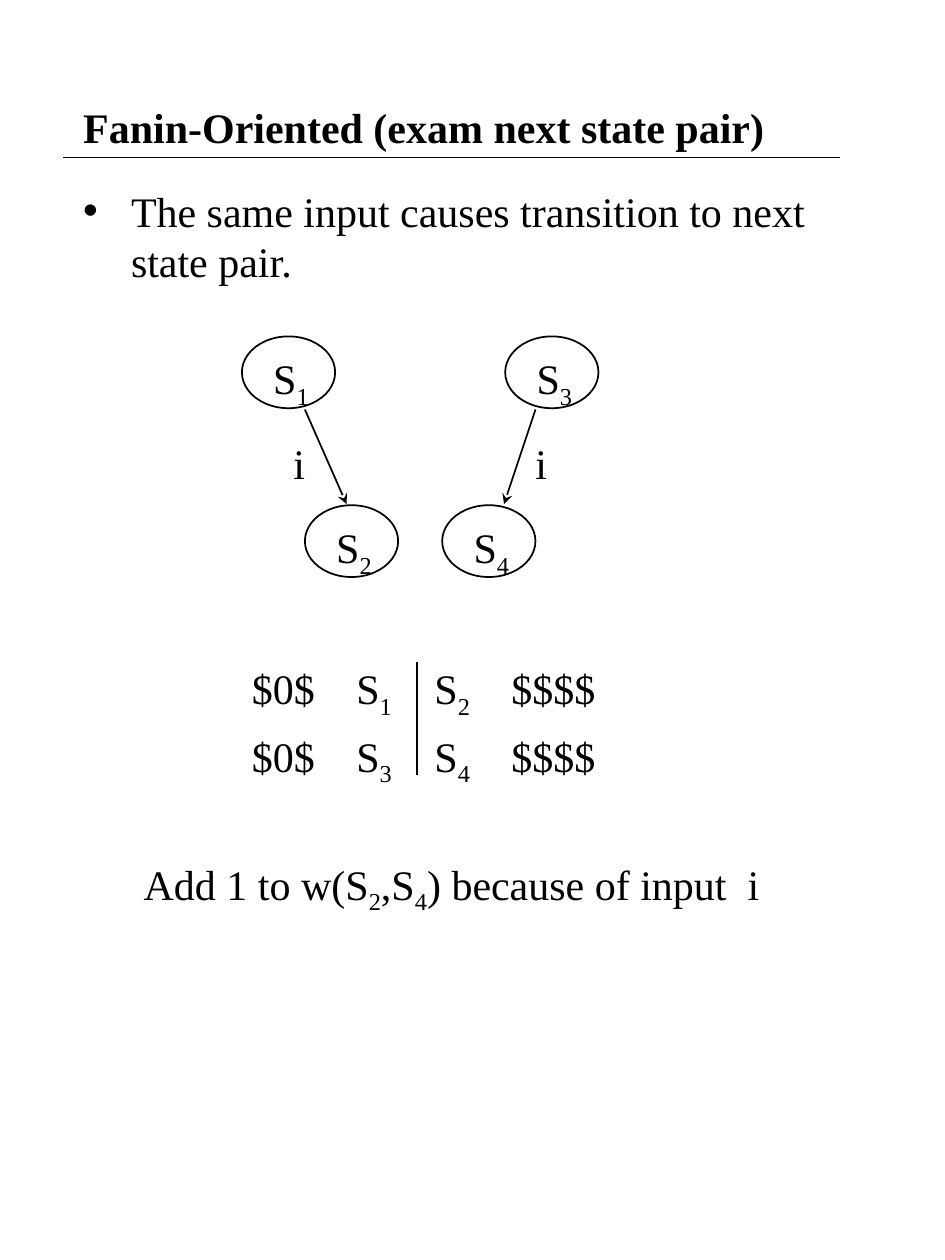
"""Build the fanin-oriented state pair slide."""
from dataclasses import dataclass

from lxml.etree import SubElement
from pptx import Presentation
from pptx.dml.color import RGBColor
from pptx.enum.shapes import MSO_CONNECTOR, MSO_SHAPE
from pptx.enum.text import MSO_ANCHOR, MSO_AUTO_SIZE, PP_ALIGN
from pptx.oxml.ns import qn
from pptx.util import Inches, Pt

COLORS = {"ink": "000000", "paper": "FFFFFF"}
FONT = "Times New Roman"
TEXT_SIZE = Pt(24)
STATE_WIDTH, STATE_HEIGHT = 0.74, 0.57
LABEL_SHIFT_X, LABEL_SHIFT_Y = 0.15, 0.08
TRANSITION_TABS = (0.83, 1.45, 2.06)


@dataclass(frozen=True)
class State:
    number: int
    left: float
    top: float


@dataclass(frozen=True)
class Line:
    start: tuple[float, float]
    end: tuple[float, float]
    arrow: bool = False


@dataclass(frozen=True)
class BodyLine:
    text: str
    margin: float
    space_before: float = 0
    bullet: bool = False


STATES = (State(1, 1.92, 2.67), State(3, 4.01, 2.67),
          State(4, 3.51, 4.01), State(2, 2.42, 4.01))
LINES = (
    Line((0.5, 1.25), (6.67, 1.25)),
    Line((2.42, 3.25), (2.75, 4), arrow=True),
    Line((4.25, 3.25), (4, 4), arrow=True),
    Line((3.31, 5.25), (3.31, 6.15)),
)
INPUT_LEFTS = (2.23, 4.15)
BODY = (
    BodyLine("The same input causes transition to next state pair.", 0.38, bullet=True),
    BodyLine("Add 1 to w(S_2_,S_4_) because of input  i", 0.48, space_before=327),
)
TRANSITIONS = ((1, 2), (3, 4))


def color(name: str) -> RGBColor:
    return RGBColor.from_string(COLORS[name])


def write(paragraph, text: str, bold: bool = False) -> None:
    """Write text whose parts between underscores are subscripts."""
    paragraph.alignment = PP_ALIGN.LEFT
    paragraph.line_spacing = 1.0
    for index, part in enumerate(text.split("_")):
        span = paragraph.add_run()
        span.text = part
        span.font.name = FONT
        span.font.size = TEXT_SIZE
        span.font.bold = bold
        span.font.color.rgb = color("ink")
        if index % 2:
            span.font._element.set("baseline", "-25000")


def place(box, left: float, top: float, width: float, height: float) -> None:
    box.left, box.top = Inches(left), Inches(top)
    box.width, box.height = Inches(width), Inches(height)


def add_title(page, text: str) -> None:
    box = page.shapes.title
    place(box, 0.56, 0.42, 6.37, 1.17)
    box.text_frame.auto_size = MSO_AUTO_SIZE.NONE
    box.text_frame.vertical_anchor = MSO_ANCHOR.MIDDLE
    write(box.text_frame.paragraphs[0], text, bold=True)


def add_body(page, lines: tuple[BodyLine, ...]) -> None:
    box = page.placeholders[1]
    place(box, 0.56, 1.42, 6.37, 5.97)
    frame = box.text_frame
    frame.auto_size = MSO_AUTO_SIZE.NONE
    frame.vertical_anchor = MSO_ANCHOR.TOP
    for index, line in enumerate(lines):
        paragraph = frame.add_paragraph() if index else frame.paragraphs[0]
        properties = paragraph._p.get_or_add_pPr()
        properties.set("marL", str(Inches(line.margin)))
        properties.set("indent", str(-Inches(line.margin) if line.bullet else 0))
        if line.bullet:
            SubElement(properties, qn("a:buChar"), char="•")
        else:
            SubElement(properties, qn("a:buNone"))
        paragraph.space_before = Pt(line.space_before)
        write(paragraph, line.text)


def add_transitions(page, transitions: tuple[tuple[int, int], ...]) -> None:
    box = page.shapes.add_textbox(Inches(1.9), Inches(5.21), Inches(3.2), Inches(1.1))
    frame = box.text_frame
    frame.word_wrap = True
    for index, (present, following) in enumerate(transitions):
        paragraph = frame.add_paragraph() if index else frame.paragraphs[0]
        tab_list = SubElement(paragraph._p.get_or_add_pPr(), qn("a:tabLst"))
        for position in TRANSITION_TABS:
            SubElement(tab_list, qn("a:tab"), pos=str(Inches(position)), algn="l")
        paragraph.space_before = Pt(6 if index else 0)
        write(paragraph, f"$0$\tS_{present}_\tS_{following}_\t$$$$")


def add_label(page, text: str, left: float, top: float, width: float, height: float) -> None:
    box = page.shapes.add_textbox(Inches(left), Inches(top), Inches(width), Inches(height))
    box.text_frame.word_wrap = False
    write(box.text_frame.paragraphs[0], text)


def add_state(page, state: State) -> None:
    oval = page.shapes.add_shape(MSO_SHAPE.OVAL, Inches(state.left), Inches(state.top),
                                 Inches(STATE_WIDTH), Inches(STATE_HEIGHT))
    oval.shadow.inherit = False
    oval.fill.solid()
    oval.fill.fore_color.rgb = color("paper")
    oval.line.color.rgb = color("ink")
    oval.line.width = Pt(1)


def add_line(page, line: Line) -> None:
    connector = page.shapes.add_connector(
        MSO_CONNECTOR.STRAIGHT, *map(Inches, line.start + line.end))
    connector.line.color.rgb = color("ink")
    connector.line.width = Pt(1)
    if line.arrow:
        SubElement(connector.line._get_or_add_ln(), qn("a:tailEnd"), type="stealth")
    SubElement(connector._element.spPr, qn("a:effectLst"))


def main() -> None:
    deck = Presentation()
    deck.slide_width, deck.slide_height = Inches(7.5), Inches(10)
    page = deck.slides.add_slide(deck.slide_layouts[1])
    add_title(page, "Fanin-Oriented (exam next state pair)")
    add_body(page, BODY)
    add_transitions(page, TRANSITIONS)
    for state in STATES:
        add_state(page, state)
    for line in LINES:
        add_line(page, line)
    for left in INPUT_LEFTS:
        add_label(page, "i", left, 3.42, 0.29, 0.5)
    for state in STATES:
        add_label(page, f"S_{state.number}_", state.left + LABEL_SHIFT_X,
                  state.top + LABEL_SHIFT_Y, 0.48, 0.56)
    deck.save("out.pptx")


if __name__ == "__main__":
    main()
